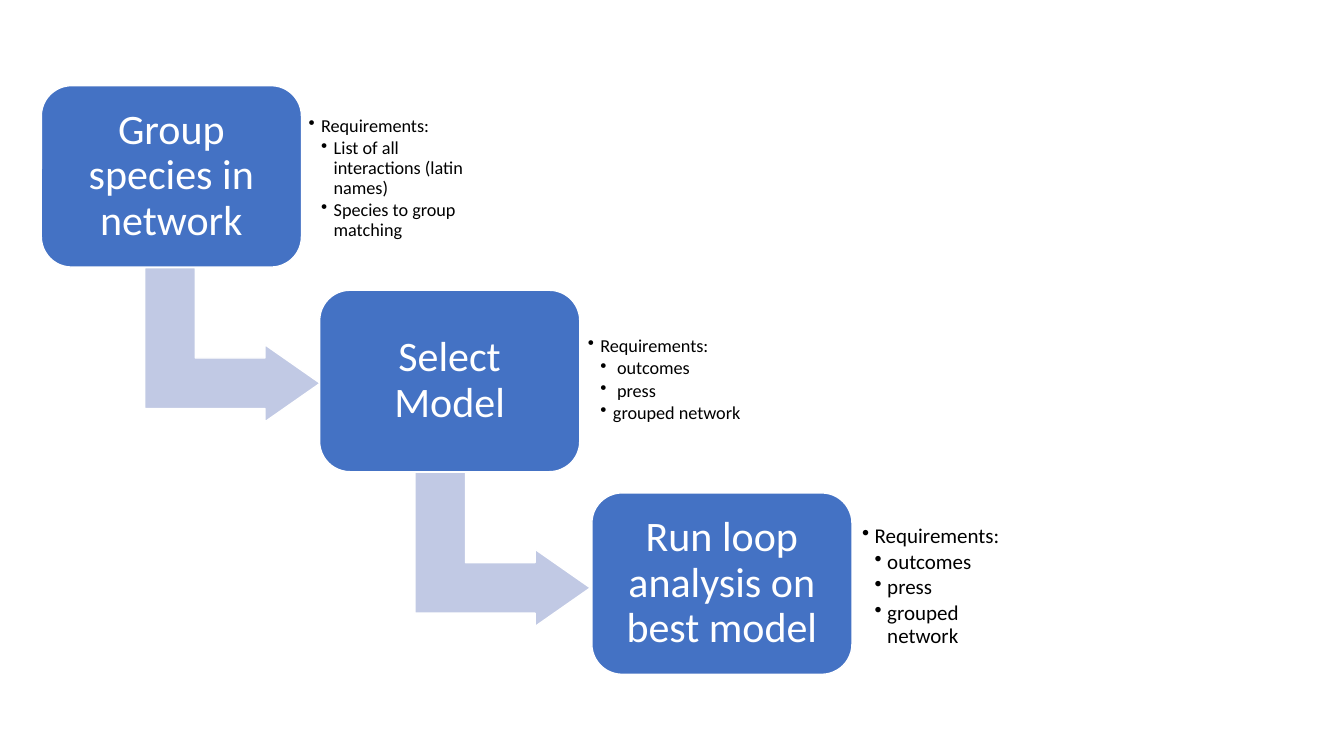
"""Build a slide with three descending process steps and their requirements."""
from pptx import Presentation
from pptx.dml.color import RGBColor
from pptx.enum.shapes import MSO_SHAPE
from pptx.enum.text import MSO_ANCHOR, PP_ALIGN
from pptx.oxml.ns import qn
from pptx.util import Inches, Pt
from lxml.etree import SubElement

COLOURS = {"step": "4472C4", "arrow": "C1C9E4", "white": "FFFFFF", "black": "000000"}
STEP_WIDTH, STEP_HEIGHT = 2.58, 1.8
ARROW_WIDTH, ARROW_HEIGHT, ARROW_DROP = 1.53, 1.74, 1.7
LIST_WIDTH, LIST_HEIGHT = 1.87, 1.46
INDENT = 0.125

STEPS = [
    {"title": "Group species in network", "at": (0.41, 0.85), "arrow_left": 1.54,
     "list_at": (2.99, 1.04), "size": 13, "inset": 0.07,
     "needs": ["List of all interactions (latin names)", "Species to group matching"]},
    {"title": "Select Model", "at": (3.17, 2.88), "arrow_left": 4.22,
     "list_at": (5.76, 3.04), "size": 13, "inset": 0.07,
     "needs": [" outcomes", " press", "grouped network"]},
    {"title": "Run loop analysis on best model", "at": (5.87, 4.89), "arrow_left": None,
     "list_at": (8.47, 5.09), "size": 15, "inset": 0.08,
     "needs": ["outcomes", "press", "grouped network"]},
]


def write_text(para, text, *, size, colour, align=PP_ALIGN.LEFT, level=0, after=0):
    para.alignment = align
    para.line_spacing = 0.9
    para.space_before = Pt(0)
    para.space_after = Pt(after)
    if level:
        para.level = level
        properties = para._p.get_or_add_pPr()
        properties.set("marL", str(Inches(INDENT * level)))
        properties.set("indent", str(-Inches(INDENT)))
        SubElement(properties, qn("a:buChar")).set("char", "•")
    span = para.add_run()
    span.text = text
    span.font.name = "Calibri"
    span.font.size = Pt(size)
    span.font.color.rgb = RGBColor.from_string(COLOURS[colour])


class ProcessSlide:
    def __init__(self, page):
        self.page = page

    def shape(self, kind, left, top, width, height, fill, adjustments):
        shape = self.page.shapes.add_shape(
            kind, Inches(left), Inches(top), Inches(width), Inches(height))
        shape.shadow.inherit = False
        shape.fill.solid()
        shape.fill.fore_color.rgb = RGBColor.from_string(COLOURS[fill])
        shape.line.color.rgb = RGBColor.from_string(COLOURS["white"])
        shape.line.width = Pt(1)
        for index, value in enumerate(adjustments):
            shape.adjustments[index] = value
        return shape

    def frame(self, shape, inset):
        frame = shape.text_frame
        frame.word_wrap = True
        frame.vertical_anchor = MSO_ANCHOR.MIDDLE
        frame.margin_left = frame.margin_right = Inches(inset)
        frame.margin_top = frame.margin_bottom = Inches(inset)
        return frame

    def arrow(self, left, top):
        arrow = self.shape(MSO_SHAPE.BENT_UP_ARROW, left, top, ARROW_WIDTH,
                           ARROW_HEIGHT, "arrow", (0.328, 0.25, 0.358))
        arrow.rotation = 90

    def step(self, left, top, title):
        box = self.shape(MSO_SHAPE.ROUNDED_RECTANGLE, left, top, STEP_WIDTH,
                         STEP_HEIGHT, "step", (0.167,))
        para = self.frame(box, 0.12).paragraphs[0]
        write_text(para, title, size=30, colour="white", align=PP_ALIGN.CENTER)

    def requirements(self, left, top, needs, size, inset):
        box = self.page.shapes.add_textbox(
            Inches(left), Inches(top), Inches(LIST_WIDTH), Inches(LIST_HEIGHT))
        frame = self.frame(box, inset)
        style = {"size": size, "colour": "black", "after": round(size * 0.15, 1)}
        write_text(frame.paragraphs[0], "Requirements:", level=1, **style)
        for need in needs:
            write_text(frame.add_paragraph(), need, level=2, **style)


def main():
    deck = Presentation()
    deck.slide_width, deck.slide_height = Inches(13.33), Inches(7.5)
    slide = ProcessSlide(deck.slides.add_slide(deck.slide_layouts[6]))
    for step in STEPS:
        left, top = step["at"]
        if step["arrow_left"] is not None:
            slide.arrow(step["arrow_left"], top + ARROW_DROP)
        slide.step(left, top, step["title"])
        slide.requirements(*step["list_at"], step["needs"], step["size"], step["inset"])
    deck.save("out.pptx")


if __name__ == "__main__":
    main()
